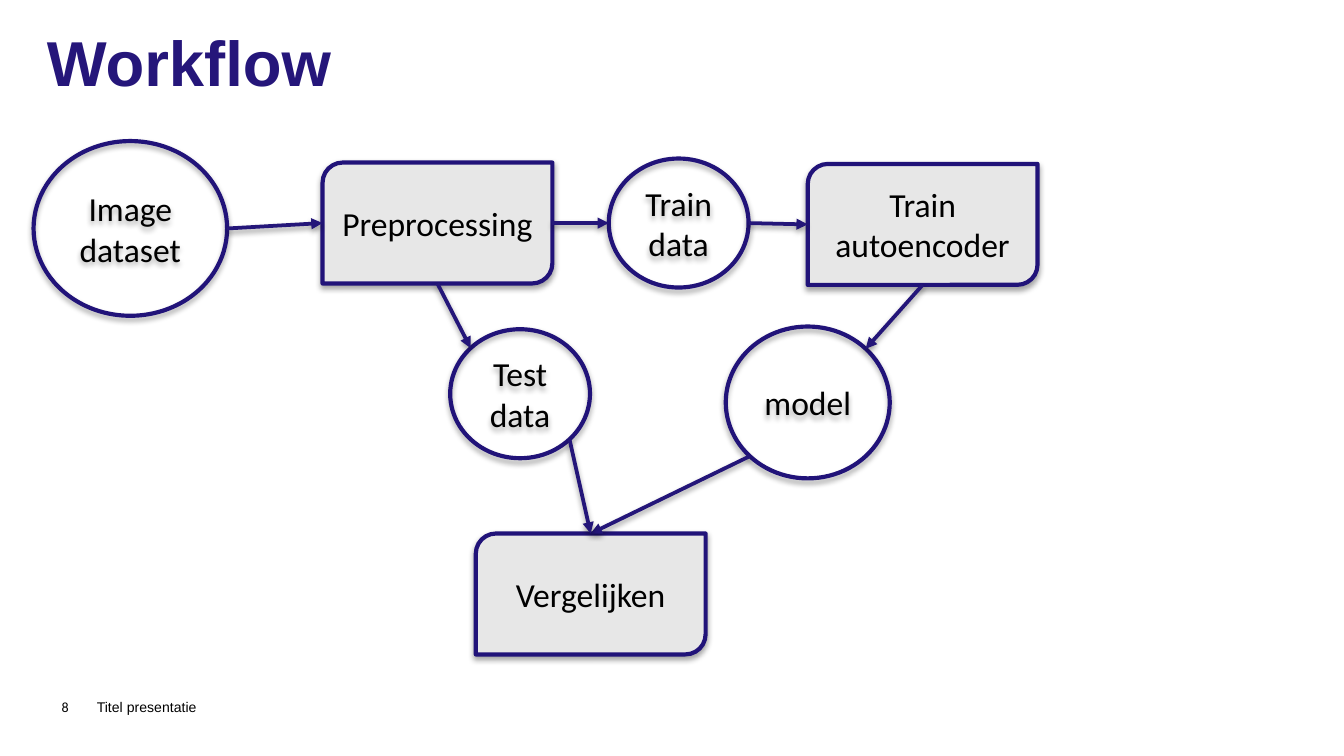
from math import sqrt
from lxml.etree import SubElement
from pptx import Presentation
from pptx.dml.color import RGBColor
from pptx.enum.shapes import MSO_CONNECTOR, MSO_SHAPE
from pptx.enum.text import MSO_ANCHOR as Anchor, PP_ALIGN as Align
from pptx.oxml.ns import qn
from pptx.util import Inches, Pt

SLIDE_W = 10
SLIDE_H = SLIDE_W * 9 / 16
NAVY, ARROW, GREY, BLACK = "211379", "241679", "E7E7E7", "000000"
STEP_SIZE, SPLIT_SIZE = (1.71, 0.9), (1.04, 0.96)

STEPS = {
    "Preprocessing": (2.4, 1.21),
    "Train autoencoder": (6.01, 1.22),
    "Vergelijken": (3.54, 3.97),
}
DATA = {
    "Image dataset": (0.25, 1.05, 1.44, 1.3),
    "Test data": (3.35, 2.45, *SPLIT_SIZE),
    "Train data": (4.53, 1.18, *SPLIT_SIZE),
    "model": (5.4, 2.43, 1.22, 1.13),
}
FLOWS = [
    ("Image dataset", "right", "Preprocessing", "left"),
    ("Train autoencoder", "bottom", "model", "top right"),
    ("Train data", "right", "Train autoencoder", "left"),
    ("Preprocessing", "right", "Train data", "left"),
    ("Preprocessing", "bottom", "Test data", "top left"),
    ("model", "bottom left", "Vergelijken", "top"),
    ("Test data", "bottom right", "Vergelijken", "top"),
]
LABELS = [
    ("Workflow", (0.35, 0.17, 6, 1.21), 0, Anchor.TOP, "Arial", 34, "25167A", True),
    ("Titel presentatie", (0.72, 5.11, 4.28, 0.3), 0, Anchor.MIDDLE, "Arial", 7.5, BLACK, False),
    ("8", (0.36, 5.11, 0.39, 0.3), 0.1, Anchor.MIDDLE, "Calibri", 7.5, BLACK, False),
]
DIRECTIONS = {"left": (-1, 0), "right": (1, 0), "top": (0, -1), "bottom": (0, 1)}
STEP_SITES = {"right": 0, "bottom": 1, "left": 2, "top": 3}


def color(value):
    return RGBColor.from_string(value)


def style_font(paragraph, name, size, value, bold=False):
    font = paragraph.font
    font.name, font.size, font.bold = name, Pt(size), bold
    font.color.rgb = color(value)


def add_shadow(item, opacity, distance):
    properties = item._element.spPr
    effects = SubElement(properties, qn("a:effectLst"))
    shadow = SubElement(effects, qn("a:outerShdw"), blurRad=str(Pt(3.1)),
                        dist=str(Pt(distance)), dir="5400000", rotWithShape="0")
    tint = SubElement(shadow, qn("a:srgbClr"), val=BLACK)
    SubElement(tint, qn("a:alpha"), val=str(opacity * 1000))


def add_label(slide, text, box, inset, anchor, *style):
    frame = slide.shapes.add_textbox(*map(Inches, box)).text_frame
    frame.word_wrap, frame.vertical_anchor = True, anchor
    frame.margin_left = frame.margin_right = Inches(inset)
    frame.margin_top = frame.margin_bottom = Inches(inset / 2)
    frame.text = text
    style_font(frame.paragraphs[0], *style)


def add_node(slide, text, kind, box, fill=None):
    node = slide.shapes.add_shape(kind, *map(Inches, box))
    if fill:
        node.fill.solid()
        node.fill.fore_color.rgb = color(fill)
    else:
        node.fill.background()
    node.line.color.rgb, node.line.width = color(NAVY), Pt(2.25)
    add_shadow(node, 35, 1.8)
    node.text_frame.text = text
    node.text_frame.vertical_anchor = Anchor.MIDDLE
    paragraph = node.text_frame.paragraphs[0]
    paragraph.alignment = Align.CENTER
    style_font(paragraph, "Calibri", 18, BLACK)
    return node


def edge_point(node, side):
    directions = [DIRECTIONS[word] for word in side.split()]
    reach = 0.5 / sqrt(len(directions))
    dx, dy = (sum(axis) * reach for axis in zip(*directions))
    return (int(node.left + node.width * (0.5 + dx)),
            int(node.top + node.height * (0.5 + dy)))


def add_flow(slide, nodes, source, source_side, target, target_side):
    start = edge_point(nodes[source], source_side)
    end = edge_point(nodes[target], target_side)
    arrow = slide.shapes.add_connector(MSO_CONNECTOR.STRAIGHT, *start, *end)
    if source in STEPS:
        arrow.begin_connect(nodes[source], STEP_SITES[source_side])
    if target in STEPS:
        arrow.end_connect(nodes[target], STEP_SITES[target_side])
    arrow.begin_x, arrow.begin_y = start
    arrow.end_x, arrow.end_y = end
    arrow.line.color.rgb, arrow.line.width = color(ARROW), Pt(2)
    SubElement(arrow.line._get_or_add_ln(), qn("a:tailEnd"), type="triangle")
    add_shadow(arrow, 38, 1.6)


def main():
    deck = Presentation()
    deck.slide_width, deck.slide_height = Inches(SLIDE_W), Inches(SLIDE_H)
    slide = deck.slides.add_slide(deck.slide_layouts[6])
    for label in LABELS:
        add_label(slide, *label)
    nodes = {text: add_node(slide, text, MSO_SHAPE.OVAL, box) for text, box in DATA.items()}
    for text, corner in STEPS.items():
        nodes[text] = add_node(slide, text, MSO_SHAPE.ROUND_2_DIAG_RECTANGLE,
                               (*corner, *STEP_SIZE), GREY)
    for flow in FLOWS:
        add_flow(slide, nodes, *flow)
    deck.save("out.pptx")


if __name__ == "__main__":
    main()
